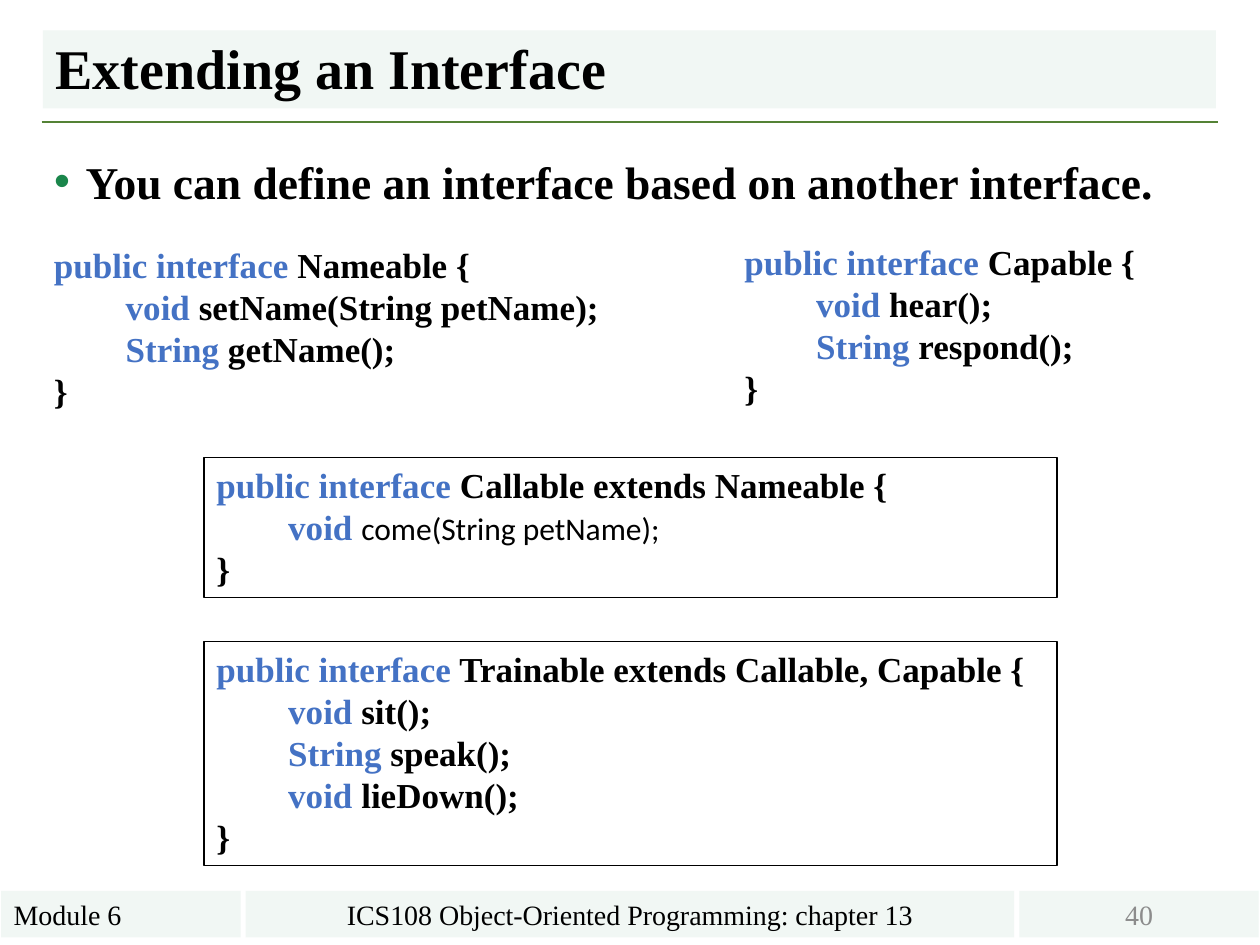
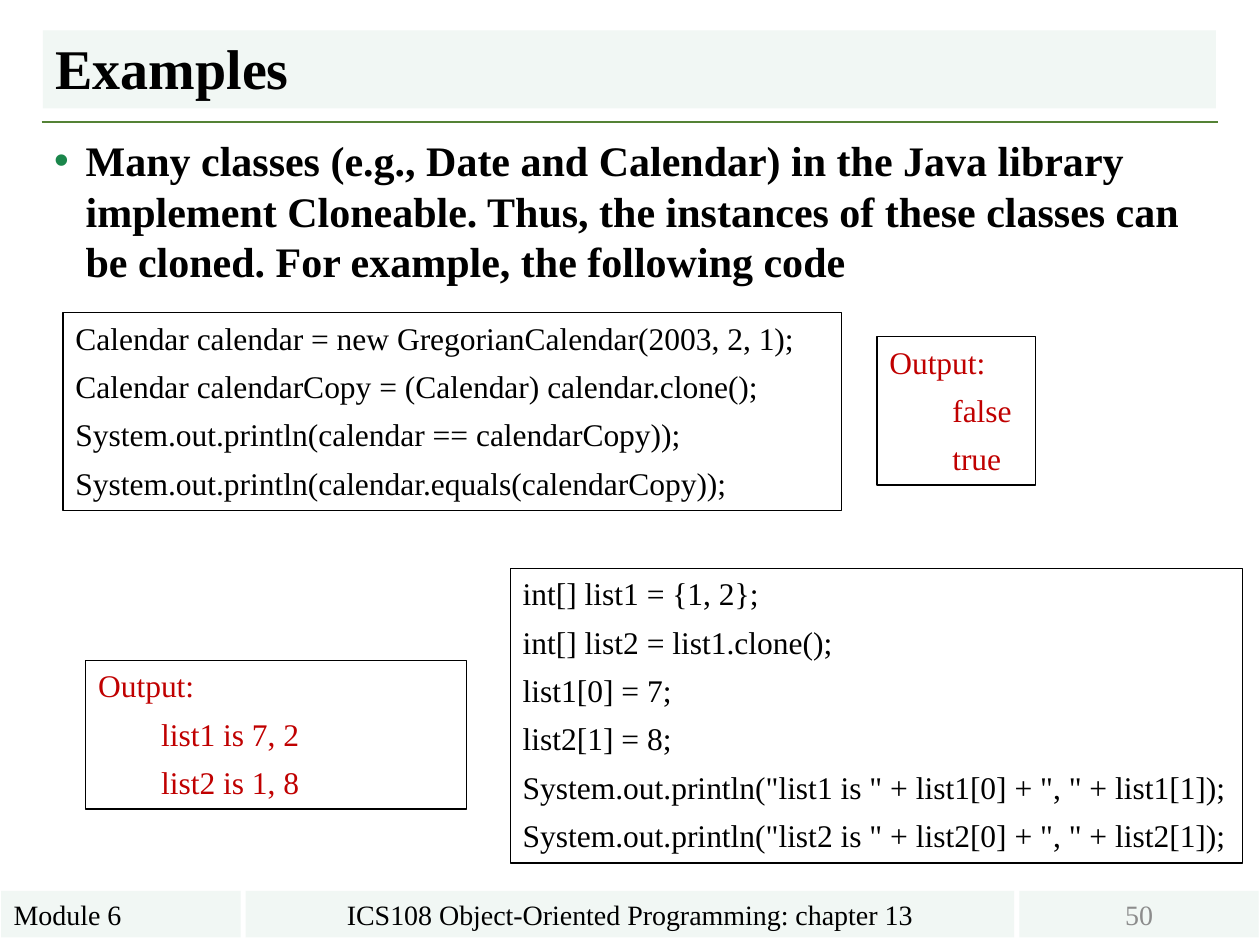
from dataclasses import dataclass
from typing import NamedTuple

from lxml.etree import SubElement
from pptx import Presentation
from pptx.dml.color import RGBColor
from pptx.enum.shapes import MSO_CONNECTOR as Link, MSO_SHAPE as Form
from pptx.enum.text import MSO_ANCHOR as Anchor, MSO_AUTO_SIZE as Fit, PP_ALIGN as Align
from pptx.oxml.ns import qn
from pptx.util import Inches, Pt

HUES = {
    "text": "000000", "key": "4472C4", "out": "C00000", "page": "8C8C8C",
    "band": "F1F7F4", "rule": "548235", "dot": "1A864B",
}
SERIF = "Times New Roman"
STEP = 0.5  # indent of code and output lines


class Run(NamedTuple):
    text: str
    hue: str = "text"
    size: float = 20
    bold: bool = True
    font: str = SERIF


class Line(NamedTuple):
    runs: list[Run]
    left: float = 0
    tab: bool = False


@dataclass
class Box:
    left: float
    top: float
    width: float
    height: float
    lines: list[Line]
    edge: bool = True
    gap: float = 0


class Foot(NamedTuple):
    left: float
    width: float
    text: str
    hue: str = "text"
    align: Align = Align.CENTER


@dataclass
class Page:
    title: str
    point: Run
    top: float
    height: float
    number: int
    boxes: list[Box]


def tint(name: str) -> RGBColor:
    return RGBColor.from_string(HUES[name])


def put(para, run: Run) -> None:
    item = para.add_run()
    item.text = run.text
    font = item.font
    font.name, font.size, font.bold = run.font, Pt(run.size), run.bold
    font.color.rgb = tint(run.hue)


def place(shape, left: float, top: float, width: float, height: float) -> None:
    shape.left, shape.top = Inches(left), Inches(top)
    shape.width, shape.height = Inches(width), Inches(height)


def paint(shape, hue: str) -> None:
    shape.fill.solid()
    shape.fill.fore_color.rgb = tint(hue)


# Code and output lines, written as data

def code(key: str, rest: str, deep: bool = True) -> Line:
    return Line([Run(("\t " if deep else "") + key, "key"), Run(" " + rest)], tab=deep)


def head(rest: str) -> Line:
    return code("public interface", rest, False)


def plain(*rows: str) -> list[Line]:
    return [Line([Run(row, size=18, bold=False)]) for row in rows]


def output(*rows: str) -> list[Line]:
    return [Line([Run(row, "out", 18, False)], STEP if i else 0)
            for i, row in enumerate(("Output:", *rows))]


END = Line([Run("}")])


# Drawing

def draw_box(slide, box: Box) -> None:
    shape = slide.shapes.add_textbox(*map(Inches, (box.left, box.top, box.width, box.height)))
    if box.edge:
        shape.line.color.rgb = tint("text")
        shape.line.width = Pt(0.75)
    frame = shape.text_frame
    frame.word_wrap = True
    frame.auto_size = Fit.SHAPE_TO_FIT_TEXT
    for i, line in enumerate(box.lines):
        para = frame.add_paragraph() if i else frame.paragraphs[0]
        para.space_before = Pt(box.gap if i else 0)
        props = para._p.get_or_add_pPr()
        if line.left:
            props.set("marL", str(Inches(line.left)))
        if line.tab:
            stops = SubElement(props, qn("a:tabLst"))
            SubElement(stops, qn("a:tab"), pos=str(Inches(STEP)), algn="l")
        for run in line.runs:
            put(para, run)


def draw_foot(slide, foot: Foot) -> None:
    shape = slide.shapes.add_shape(
        Form.RECTANGLE, *map(Inches, (foot.left, 7.07, foot.width, 0.37)))
    shape.shadow.inherit = False
    paint(shape, "band")
    shape.line.fill.background()
    frame = shape.text_frame
    frame.word_wrap = True
    frame.vertical_anchor = Anchor.MIDDLE
    para = frame.paragraphs[0]
    para.alignment = foot.align
    put(para, Run(foot.text, foot.hue, 16, False))


def draw_rule(slide) -> None:
    rule = slide.shapes.add_connector(
        Link.STRAIGHT, *map(Inches, (0.33, 0.97, 9.67, 0.97)))
    rule.line.color.rgb = tint("rule")
    rule.line.width = Pt(1.5)
    SubElement(rule._element.spPr, qn("a:effectLst"))


def draw_title(shape, text: str) -> None:
    place(shape, 0.34, 0.24, 9.31, 0.62)
    paint(shape, "band")
    frame = shape.text_frame
    frame.auto_size = Fit.NONE
    frame.vertical_anchor = Anchor.BOTTOM
    para = frame.paragraphs[0]
    para.alignment = Align.LEFT
    para.line_spacing = 0.9
    put(para, Run(text, size=32))


def draw_point(shape, page: Page) -> None:
    place(shape, 0.33, page.top, 9.34, page.height)
    frame = shape.text_frame
    frame.auto_size = Fit.NONE
    para = frame.paragraphs[0]
    para.space_before = Pt(0)
    props = para._p.get_or_add_pPr()
    props.set("marL", str(Inches(0.25)))
    props.set("indent", str(Inches(-0.25)))
    SubElement(SubElement(props, qn("a:buClr")), qn("a:srgbClr"), val=HUES["dot"])
    SubElement(props, qn("a:buFont"), typeface="Arial")
    SubElement(props, qn("a:buChar"), char="•")
    put(para, page.point)


def draw_page(deck, page: Page) -> None:
    slide = deck.slides.add_slide(deck.slide_layouts[1])
    draw_title(slide.shapes.title, page.title)
    draw_point(slide.placeholders[1], page)
    draw_rule(slide)
    for foot in (
        Foot(0.01, 1.9, "Module 6", align=Align.LEFT),
        Foot(1.95, 6.1, "ICS108 Object-Oriented Programming: chapter 13"),
        Foot(8.09, 1.9, str(page.number), "page"),
    ):
        draw_foot(slide, foot)
    for box in page.boxes:
        draw_box(slide, box)


# Content

PAGES = [
    Page(
        "Extending an Interface",
        Run("You can define an interface based on another interface.", size=26),
        1.17, 0.7, 40,
        [
            Box(0.33, 1.88, 5.59, 1.45, [
                head("Nameable {"),
                code("void", "setName(String petName);"),
                code("String", "getName();"),
                END,
            ], edge=False),
            Box(1.62, 3.63, 6.77, 1.11, [
                head("Callable extends Nameable {"),
                Line([Run("\t void ", "key"),
                      Run("come(String petName);", size=18, bold=False, font="Calibri")],
                     tab=True),
                END,
            ]),
            Box(1.62, 5.09, 6.77, 1.78, [
                head("Trainable extends Callable, Capable {"),
                code("void", "sit();"),
                code("String", "speak();"),
                code("void", "lieDown();"),
                END,
            ]),
            Box(5.81, 1.86, 3.85, 1.45, [
                head("Capable {"),
                code("void", "hear();"),
                code("String", "respond();"),
                END,
            ], edge=False),
        ],
    ),
    Page(
        "Examples",
        Run("Many classes (e.g., Date and Calendar) in the Java library implement "
            "Cloneable. Thus, the instances of these classes can be cloned. "
            "For example, the following code", size=24),
        1.02, 6.05, 50,
        [
            Box(6.96, 2.67, 1.26, 1.18, output("false", "true"), gap=6),
            Box(4.05, 4.51, 5.81, 2.34, plain(
                "int[] list1 = {1, 2};",
                "int[] list2 = list1.clone();",
                "list1[0] = 7;",
                "list2[1] = 8;",
                'System.out.println("list1 is " + list1[0] + ", " + list1[1]);',
                'System.out.println("list2 is " + list2[0] + ", " + list2[1]);',
            ), gap=6),
            Box(0.5, 2.48, 6.18, 1.57, plain(
                "Calendar calendar = new GregorianCalendar(2003, 2, 1);",
                "Calendar calendarCopy = (Calendar) calendar.clone();",
                "System.out.println(calendar == calendarCopy));",
                "System.out.println(calendar.equals(calendarCopy));",
            ), gap=6),
            Box(0.68, 5.24, 3.02, 1.18, output("list1 is 7, 2", "list2 is 1, 8"), gap=6),
        ],
    ),
]


def main() -> None:
    deck = Presentation()
    deck.slide_width, deck.slide_height = Inches(10), Inches(7.5)
    for page in PAGES:
        draw_page(deck, page)
    deck.save("out.pptx")


if __name__ == "__main__":
    main()
